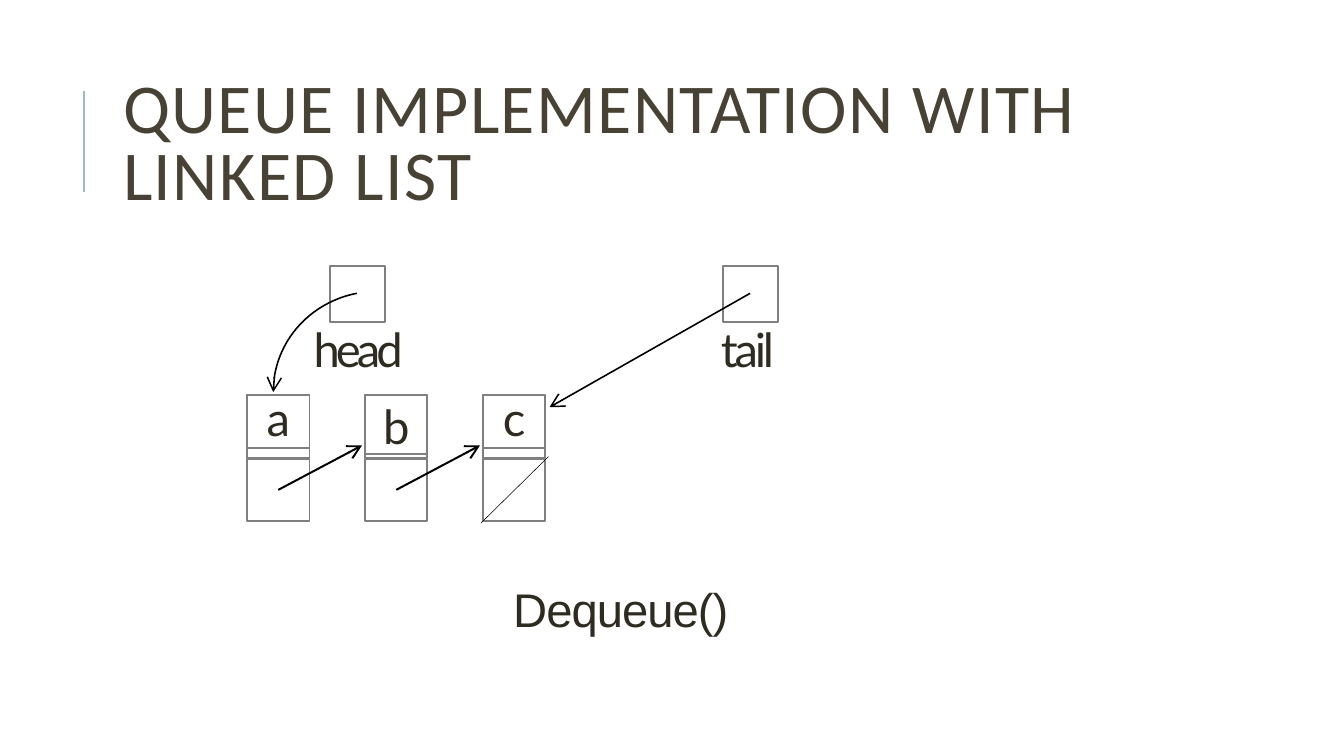
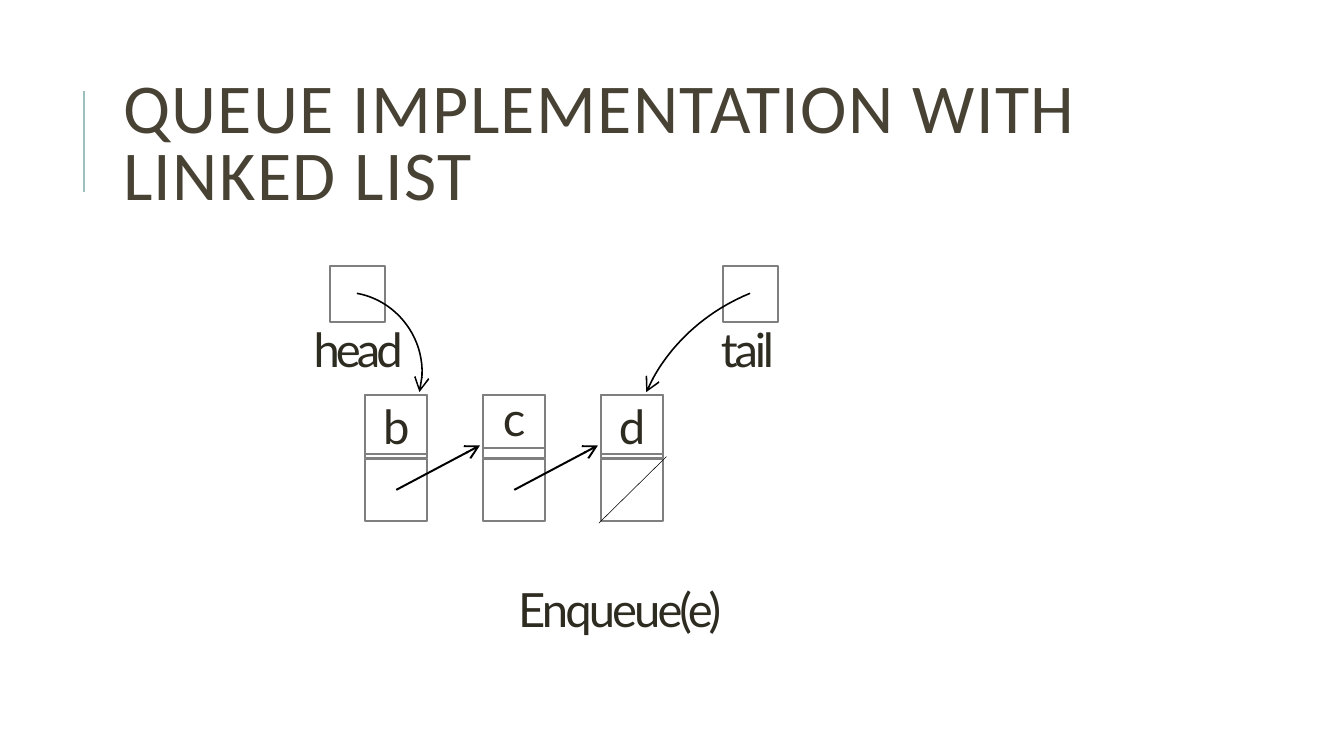
from lxml.etree import SubElement
from pptx import Presentation
from pptx.dml.color import RGBColor
from pptx.enum.shapes import MSO_CONNECTOR, MSO_SHAPE
from pptx.enum.text import MSO_ANCHOR, MSO_AUTO_SIZE, PP_ALIGN
from pptx.oxml.ns import qn
from pptx.util import Inches, Pt

TITLE = "QUEUE IMPLEMENTATION WITH LINKED LIST"
INK, TITLE_INK, GREY, BLACK, ACCENT = "2E2B21", "474233", "7F7F7F", "000000", "9CBEBD"
CELL = 0.62
POINTER_SIZE = 0.55
NODE_TOP, LINK_TOP = 3.92, 4.55
FIRST_NODE, NODE_PITCH = 2.45, 1.17
POINTER_TOP, HEAD_LEFT, TAIL_LEFT = 2.64, 3.27, 7.17
HEAD_START, TAIL_START = (3.54, 2.91), (7.44, 2.91)


def rgb(value):
    return RGBColor.from_string(value)


def write(tf, text, font="Lato", size=33.7, color=INK, spc=-2.3, align=PP_ALIGN.LEFT,
          line=None, anchor=MSO_ANCHOR.TOP, margins=(0, 0, 0, 0)):
    """Fill a text frame; spc is the letter spacing in points, margins are l, t, r, b."""
    tf.word_wrap = True
    tf.auto_size = MSO_AUTO_SIZE.NONE
    tf.vertical_anchor = anchor
    tf.margin_left, tf.margin_top, tf.margin_right, tf.margin_bottom = map(Inches, margins)
    p = tf.paragraphs[0]
    p.alignment = align
    if line:
        p.line_spacing = line
    r = p.add_run()
    r.text = text
    r.font.name, r.font.size = font, Pt(size)
    r.font.color.rgb = rgb(color)
    r.font._element.set("spc", str(round(spc * 100)))


def bezier(a, b, c, d, steps=24):
    """Return points along a cubic curve from a to d."""
    curve = []
    for i in range(steps + 1):
        t = i / steps
        u = 1 - t
        curve.append(tuple(u**3 * k + 3 * u * u * t * m + 3 * u * t * t * n + t**3 * q
                           for k, m, n, q in zip(a, b, c, d)))
    return curve


class Deck:
    def __init__(self):
        self.prs = Presentation()
        self.prs.slide_width, self.prs.slide_height = Inches(13.33), Inches(7.5)
        self.s = None

    def slide(self, title):
        self.s = self.prs.slides.add_slide(self.prs.slide_layouts[5])
        sp = self.s.shapes.title
        sp.left, sp.top, sp.width, sp.height = map(Inches, (1.12, 0.64, 10.63, 1.64))
        write(sp.text_frame, title, font="Calibri", size=50, color=TITLE_INK, spc=1,
              line=0.8, anchor=MSO_ANCHOR.MIDDLE, margins=(0.1, 0.05, 0.1, 0.05))
        self.line((0.83, 1.9), (0.83, 0.9), ACCENT, 1.5)

    def stroke(self, sp, color, width, arrow=False):
        sp.line.color.rgb = rgb(color)
        sp.line.width = Pt(width)
        if arrow:
            SubElement(sp.line._get_or_add_ln(), qn("a:tailEnd"), type="arrow", w="lg", len="lg")

    def line(self, start, end, color=BLACK, width=1.42, arrow=False):
        sp = self.s.shapes.add_connector(MSO_CONNECTOR.STRAIGHT, *map(Inches, start + end))
        self.stroke(sp, color, width, arrow)
        SubElement(sp._element.spPr, qn("a:effectLst"))

    def curve(self, *controls):
        points = [(Inches(x), Inches(y)) for x, y in bezier(*controls)]
        builder = self.s.shapes.build_freeform(*points[0])
        builder.add_line_segments(points[1:], close=False)
        sp = builder.convert_to_shape()
        sp.fill.background()
        self.stroke(sp, BLACK, 1.13, arrow=True)
        sp.shadow.inherit = False

    def box(self, left, top, width, height):
        sp = self.s.shapes.add_shape(MSO_SHAPE.RECTANGLE, *map(Inches, (left, top, width, height)))
        sp.fill.background()
        self.stroke(sp, GREY, 1.42)
        sp.shadow.inherit = False
        return sp

    def label(self, text, left, top, width, height=0.55, **style):
        sp = self.s.shapes.add_textbox(*map(Inches, (left, top, width, height)))
        write(sp.text_frame, text, **style)

    def pointer(self, name, left, label_left, spc):
        self.box(left, POINTER_TOP, POINTER_SIZE, POINTER_SIZE)
        self.label(name, label_left, 3.18, 0.9, spc=spc)

    def node(self, letter, left):
        tall = letter in "bd"
        self.box(left, NODE_TOP, CELL, CELL)
        sp = self.box(left, NODE_TOP, CELL, 0.58 if tall else 0.52)
        write(sp.text_frame, letter, spc=-2.4, align=PP_ALIGN.CENTER,
              line=None if tall else Pt(36.6), margins=(0, 0.02 if tall else 0, 0, 0))
        self.box(left, LINK_TOP, CELL, CELL)

    def linked_list(self, letters, first_slot):
        """Draw the nodes, an arrow between neighbours and a slash in the last link."""
        lefts = [FIRST_NODE + NODE_PITCH * (first_slot + i) for i in range(len(letters))]
        for letter, left in zip(letters, lefts):
            self.node(letter, left)
        for left, following in zip(lefts, lefts[1:]):
            self.line((left + CELL / 2, LINK_TOP + CELL / 2), (following - 0.03, 4.42), arrow=True)
        last = lefts[-1]
        self.line((last - 0.02, 5.19), (last + 0.65, 4.53), width=0.4)

    def queue(self, letters, first_slot):
        self.slide(TITLE)
        self.pointer("head", HEAD_LEFT, 3.11, -2.8)
        self.pointer("tail", TAIL_LEFT, 7.15, -2.3)
        self.linked_list(letters, first_slot)


def main():
    deck = Deck()

    deck.queue("abc", 0)
    deck.curve(HEAD_START, (3.07, 3.0), (2.71, 3.4), (2.71, 3.89))
    deck.line(TAIL_START, (5.45, 4.04), width=1.13, arrow=True)
    deck.label("Dequeue()", 5.09, 5.8, 2.4, font="Arial", spc=-0.7, line=Pt(37.1))

    deck.queue("bcd", 1)
    deck.curve(HEAD_START, (3.98, 2.99), (4.28, 3.44), (4.16, 3.89))
    deck.curve(TAIL_START, (6.93, 3.12), (6.58, 3.5), (6.41, 3.89))
    deck.label("Enqueue(e)", 5.14, 5.78, 2.4, spc=-2.1, line=Pt(38.7))

    deck.prs.save("out.pptx")


if __name__ == "__main__":
    main()
